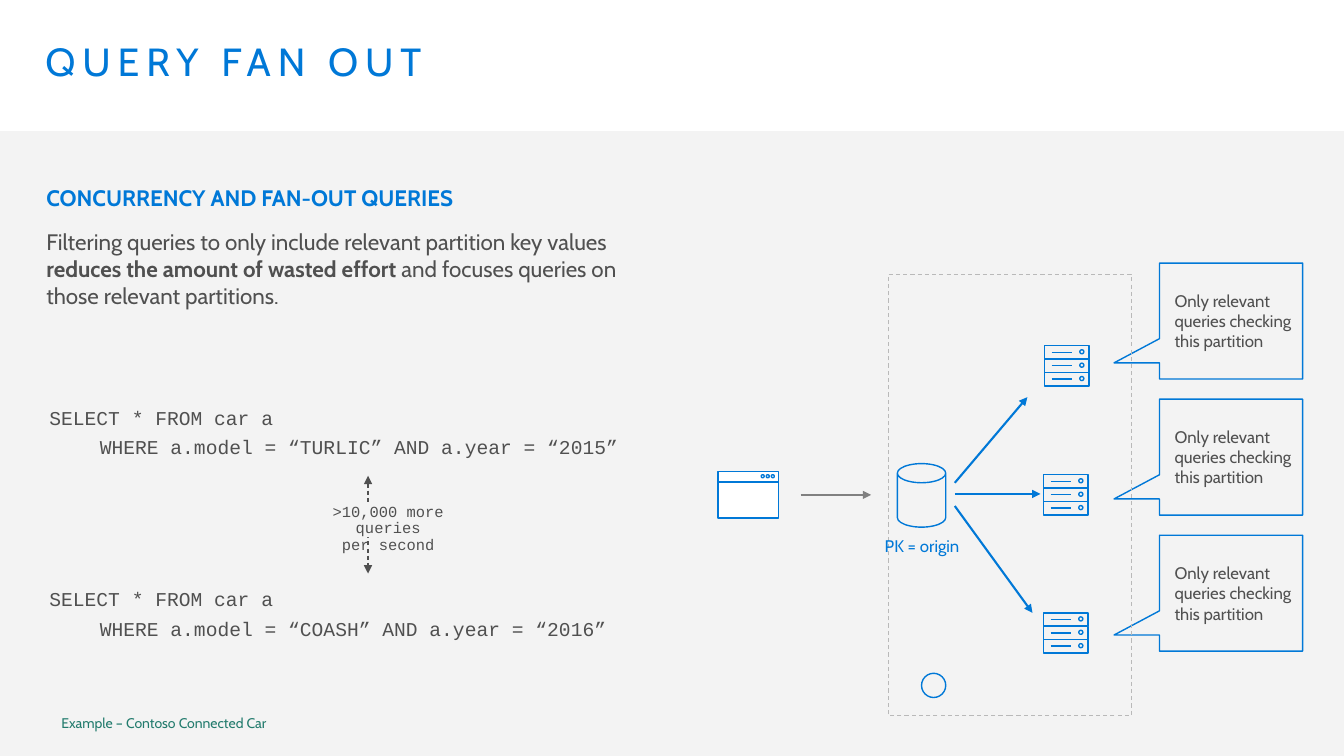
from pptx import Presentation
from pptx.dml.color import RGBColor
from pptx.enum.dml import MSO_LINE as Dash
from pptx.enum.shapes import MSO_CONNECTOR as Link, MSO_SHAPE as Kind
from pptx.enum.text import MSO_ANCHOR as Anchor, PP_ALIGN as Align
from pptx.oxml.ns import qn
from pptx.util import Inches, Pt
from lxml import etree

BLUE = RGBColor(0x00, 0x78, 0xD7)
DARK = RGBColor(0x50, 0x50, 0x50)
GRAY = RGBColor(0x80, 0x80, 0x80)
PALE = RGBColor(0xB9, 0xB9, 0xB9)
BAND = RGBColor(0xF3, 0xF3, 0xF3)
TEAL = RGBColor(0x22, 0x7B, 0x6D)
WHITE = RGBColor(0xFF, 0xFF, 0xFF)

SANS = "Cabin"
MONO = "Courier New"


def write(frame, text, size=12, font=SANS, color=DARK, bold=False, align=Align.LEFT,
          anchor=Anchor.TOP, pad=(0, 0, 0, 0), wrap=True, lead=None, before=0,
          after=0, track=0):
    frame.word_wrap = wrap
    frame.vertical_anchor = anchor
    frame.margin_left, frame.margin_top, frame.margin_right, frame.margin_bottom = map(Inches, pad)
    lines = [text] if isinstance(text, str) else text
    for index, line in enumerate(lines):
        para = frame.add_paragraph() if index else frame.paragraphs[0]
        para.alignment = align
        para.space_before, para.space_after = Pt(before), Pt(after)
        if lead:
            para.line_spacing = lead
        runs = [(line, {})] if isinstance(line, str) else line
        for words, style in runs:
            for row, part in enumerate(words.split("\n")):
                if row:
                    para.add_line_break()
                run = para.add_run()
                run.text = part
                run.font.size = Pt(size)
                run.font.name = font
                run.font.bold = style.get("bold", bold)
                run.font.color.rgb = style.get("color", color)
                if track:
                    run._r.get_or_add_rPr().set("spc", str(track * 100))


def label(shapes, box, text, **style):
    write(shapes.add_textbox(*map(Inches, box)).text_frame, text, **style)


def paint(item, fill=None, line=BLUE, width=1, dash=None):
    item.shadow.inherit = False
    if fill is None:
        item.fill.background()
    else:
        item.fill.solid()
        item.fill.fore_color.rgb = fill
    if line is None:
        item.line.fill.background()
        return
    item.line.color.rgb = line
    item.line.width = Pt(width)
    if dash:
        item.line.dash_style = dash


def shape(shapes, kind, box, **look):
    item = shapes.add_shape(kind, *map(Inches, box))
    paint(item, **look)
    return item


def line(shapes, start, end, color=BLUE, width=1, dash=None, heads=()):
    item = shapes.add_connector(Link.STRAIGHT, *map(Inches, start + end))
    item.line.color.rgb = color
    item.line.width = Pt(width)
    if dash:
        item.line.dash_style = dash
    for head in heads:
        etree.SubElement(item.line._get_or_add_ln(), qn("a:" + head)).set("type", "triangle")
    etree.SubElement(item._element.spPr, qn("a:effectLst"))


def callout(shapes, top):
    left, edge, right, base = 11.05, 11.5, 12.92, top + 1.15
    dots = [(edge, top), (edge, top + 0.75), (left, top + 0.99), (edge, top + 0.99),
            (edge, base), (right, base), (right, top)]
    dots = [(Inches(x), Inches(y)) for x, y in dots]
    path = shapes.build_freeform(*dots[0])
    path.add_line_segments(dots[1:], close=True)
    item = path.convert_to_shape()
    paint(item)
    write(item.text_frame, "Only relevant queries checking this partition",
          anchor=Anchor.MIDDLE, pad=(0.6, 0.1, 0.1, 0.1))


def server(shapes, left, top):
    group = shapes.add_group_shape().shapes
    for row in range(3):
        y = top + row * 0.133
        shape(group, Kind.RECTANGLE, (left, y, 0.44, 0.133))
        shape(group, Kind.OVAL, (left + 0.35, y + 0.04, 0.04, 0.04))
        line(group, (left + 0.07, y + 0.065), (left + 0.27, y + 0.065))


def window(shapes, left, top):
    group = shapes.add_group_shape().shapes
    shape(group, Kind.RECTANGLE, (left, top, 0.6, 0.46), fill=WHITE)
    line(group, (left, top + 0.1), (left + 0.6, top + 0.1))
    for index in range(3):
        shape(group, Kind.OVAL, (left + 0.43 + index * 0.05, top + 0.03, 0.03, 0.03))


def query(shapes, top, test):
    label(shapes, (0.29, top, 6.7, 0.83), ["SELECT * FROM car a", "\tWHERE " + test],
          size=14, font=MONO, pad=(0.2, 0.16, 0.2, 0.16), lead=0.9, after=6)


def main():
    deck = Presentation()
    deck.slide_width, deck.slide_height = Inches(13.33), Inches(7.5)
    shapes = deck.slides.add_slide(deck.slide_layouts[6]).shapes

    shape(shapes, Kind.RECTANGLE, (0, 1.3, 13.33, 6.2), fill=BAND, line=None)
    inset = (0.16, 0.1, 0.16, 0.1)
    label(shapes, (0.29, 0.32, 12.75, 0.98), "QUERY FAN OUT", size=28, color=BLUE,
          pad=inset, lead=0.9, track=5)
    label(shapes, (0.3, 1.73, 6.22, 1.45), [
        [("CONCURRENCY AND FAN-OUT QUERIES", {"bold": True, "color": BLUE})],
        [("Filtering queries to only include relevant partition key values ", {}),
         ("reduces the amount of wasted effort ", {"bold": True}),
         ("and focuses queries on those relevant partitions.", {})],
    ], size=16, pad=inset, before=12)

    query(shapes, 3.89, "a.model = “TURLIC” AND a.year = “2015”")
    query(shapes, 5.69, "a.model = “COASH” AND a.year = “2016”")
    line(shapes, (3.65, 4.72), (3.65, 5.69), color=DARK, width=0.75, dash=Dash.DASH,
         heads=("headEnd", "tailEnd"))
    note = shape(shapes, Kind.RECTANGLE, (2.94, 5, 1.82, 0.33), fill=BAND, line=None)
    write(note.text_frame, ">10,000 more queries\nper second", size=11, font=MONO,
          align=Align.CENTER, lead=0.9, after=6)

    for index in range(3):
        callout(shapes, 2.61 + index * 1.35)
    shape(shapes, Kind.RECTANGLE, (8.81, 2.72, 2.41, 4.38), line=PALE, width=0.75,
          dash=Dash.DASH)
    shape(shapes, Kind.OVAL, (9.14, 6.68, 0.24, 0.24))
    store = shape(shapes, Kind.CAN, (8.9, 4.6, 0.48, 0.63))
    store.adjustments[0] = 0.395
    for left, top in ((10.36, 3.43), (10.35, 4.71), (10.35, 6.08)):
        server(shapes, left, top)
    window(shapes, 7.12, 4.68)

    line(shapes, (7.94, 4.91), (8.64, 4.91), color=GRAY, width=1.5, heads=("tailEnd",))
    for y, end in ((4.9, (10.32, 4.9)), (5.02, (10.24, 6.08)), (4.79, (10.19, 3.94))):
        line(shapes, (9.47, y), end, width=1.5, heads=("tailEnd",))
    label(shapes, (8.64, 5.27, 1.01, 0.3), "PK = origin", color=BLUE,
          align=Align.CENTER, pad=(0.1, 0.05, 0.1, 0.05), wrap=False)
    label(shapes, (0.61, 7.11, 2.2, 0.15), "Example – Contoso Connected Car", size=10,
          color=TEAL, anchor=Anchor.MIDDLE, lead=0.9, after=6)
    deck.save("out.pptx")


if __name__ == "__main__":
    main()
